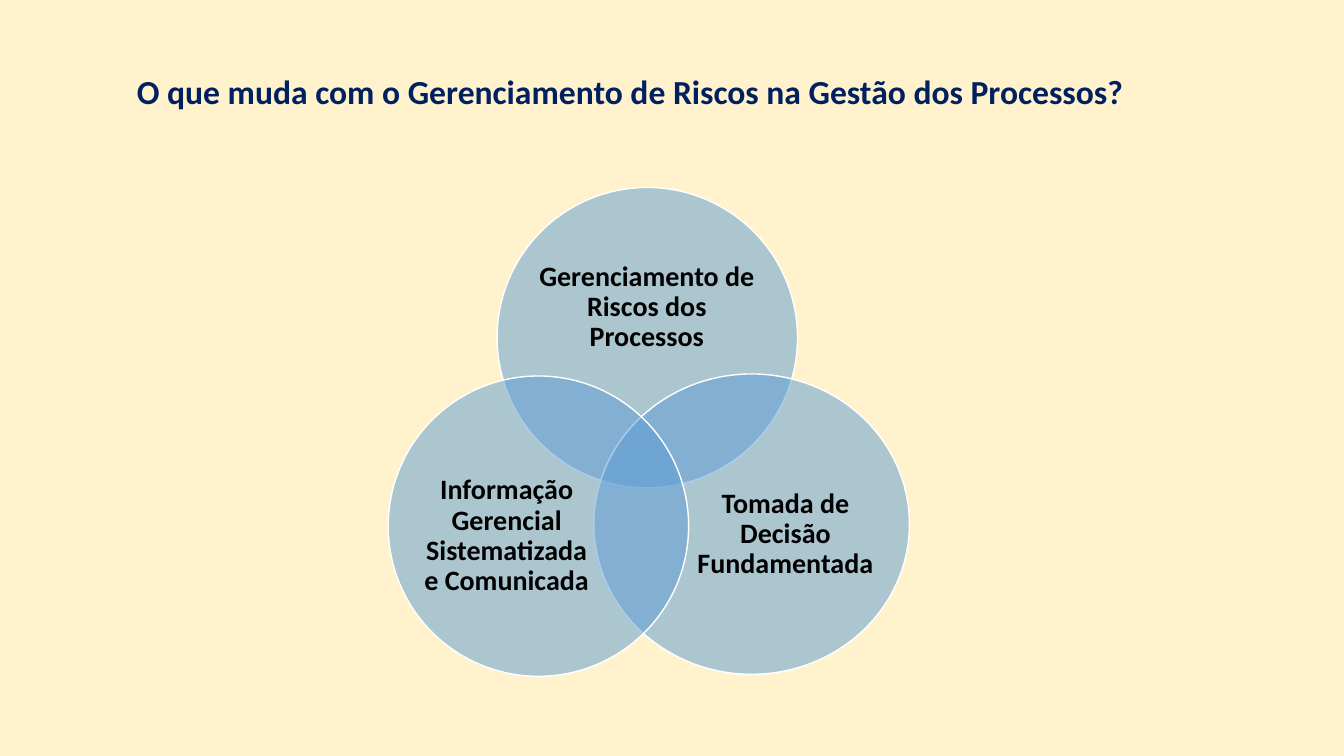
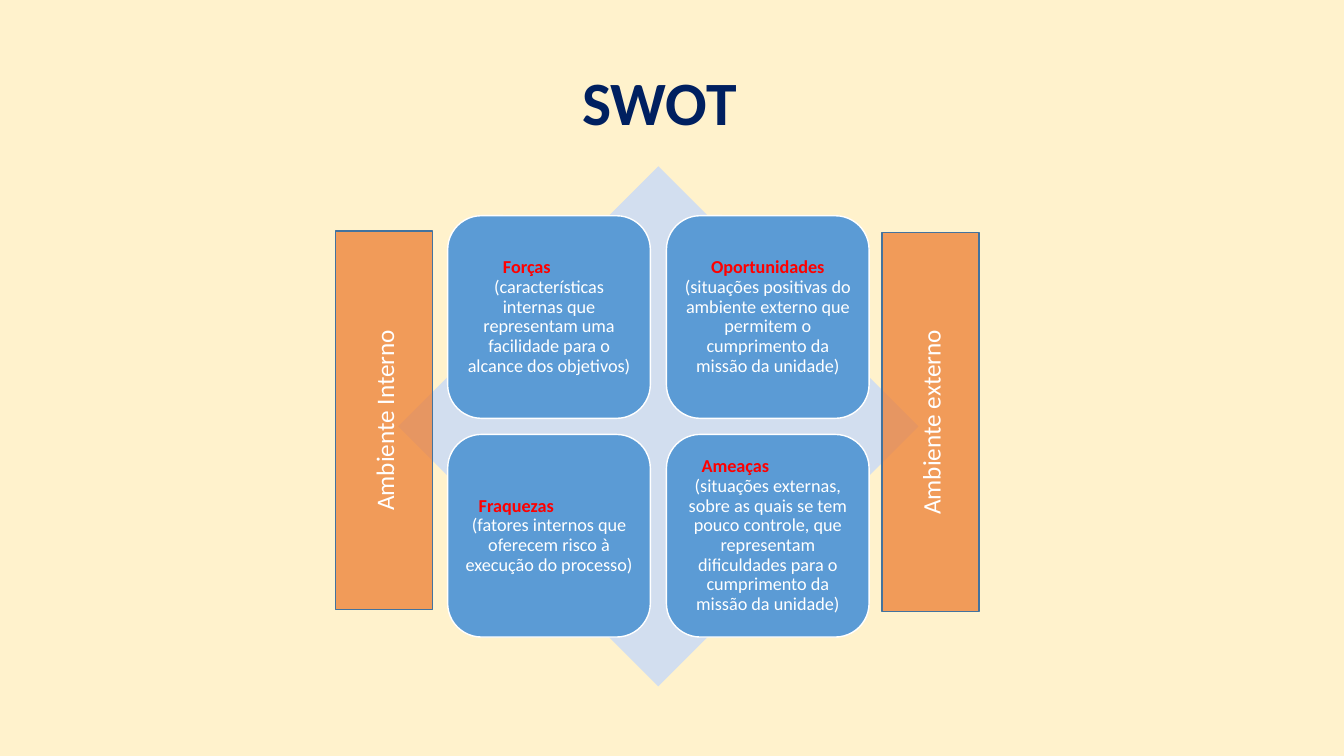
from dataclasses import dataclass

from lxml import etree
from pptx import Presentation
from pptx.dml.color import RGBColor
from pptx.enum.shapes import MSO_SHAPE
from pptx.enum.text import MSO_ANCHOR, PP_ALIGN
from pptx.oxml.ns import qn
from pptx.util import Inches, Pt

OVAL = MSO_SHAPE.OVAL
DIAMOND = MSO_SHAPE.DIAMOND
CARD = MSO_SHAPE.ROUNDED_RECTANGLE
BAR = MSO_SHAPE.RECTANGLE
MIDDLE = MSO_ANCHOR.MIDDLE
CENTER = PP_ALIGN.CENTER
LEFT = PP_ALIGN.LEFT


@dataclass(frozen=True)
class Theme:
    """Colours, font and type sizes of the deck."""
    font: str = "Calibri"
    cream: str = "FFF2CC"
    navy: str = "002060"
    blue: str = "5B9BD5"
    pale: str = "D2DEEF"
    orange: str = "ED7D31"
    edge: str = "43739E"
    red: str = "FF0000"
    white: str = "FFFFFF"
    black: str = "000000"
    question: int = 24
    heading: int = 44
    circle: int = 20
    bar: int = 18
    card: int = 13


@dataclass(frozen=True)
class Box:
    """A rectangle in inches."""
    left: float
    top: float
    width: float
    height: float

    def inner(self, left, top, width, height):
        """Return a box offset from this one's corner."""
        return Box(self.left + left, self.top + top, width, height)

    def emu(self):
        """Return the four lengths as Inches."""
        return [Inches(v) for v in (self.left, self.top, self.width, self.height)]


THEME = Theme()

CIRCLES = [
    ((1.08, 0, 2.98, 2.98), (1.47, 0.52, 2.19, 1.34),
     "Gerenciamento de Riscos dos Processos"),
    ((2.04, 1.85, 3.13, 2.98), (3.0, 2.62, 1.88, 1.64),
     "Tomada de Decisão Fundamentada"),
    ((0, 1.87, 2.98, 2.98), (0.28, 2.64, 1.79, 1.64),
     "Informação Gerencial Sistematizada e Comunicada"),
]

CARDS = [
    ("Forças", 0.4,
     "(características internas que representam uma facilidade para o alcance dos objetivos)"),
    ("Oportunidades", None,
     "(situações positivas do ambiente externo que permitem o cumprimento da missão da unidade)"),
    ("Fraquezas", 0.16,
     "(fatores internos que oferecem risco à execução do processo)"),
    ("Ameaças", 0.2,
     "(situações externas, sobre as quais se tem pouco controle, que representam "
     "dificuldades para o cumprimento da missão da unidade)"),
]

BARS = [
    ((4.8, 0.66, 0.96, 3.76), "Ambiente externo"),
    ((-0.62, 0.64, 0.96, 3.76), "Ambiente Interno"),
]


def add_figure(page, kind, box, fill, line=None, opacity=100):
    """Draw a preset shape with flat fill and optional outline."""
    figure = page.shapes.add_shape(kind, *box.emu())
    figure.shadow.inherit = False
    figure.fill.solid()
    figure.fill.fore_color.rgb = RGBColor.from_string(fill)
    if opacity < 100:
        color = figure._element.spPr.find(qn("a:solidFill"))[0]
        etree.SubElement(color, qn("a:alpha"), val=str(opacity * 1000))
    if line:
        figure.line.color.rgb = RGBColor.from_string(line)
        figure.line.width = Pt(1)
    else:
        figure.line.fill.background()
    return figure


def prepare_frame(shape, inset=None):
    """Wrap and centre a text frame vertically, with an equal inset."""
    frame = shape.text_frame
    frame.word_wrap = True
    frame.vertical_anchor = MIDDLE
    if inset is not None:
        frame.margin_left = frame.margin_right = Inches(inset)
        frame.margin_top = frame.margin_bottom = Inches(inset)
    return frame


def write(para, text, size, color, bold=False, spacing=0.9):
    """Write one centred, styled run into a paragraph."""
    para.alignment = CENTER
    para.line_spacing = spacing
    para.space_before = para.space_after = Pt(0)
    span = para.add_run()
    span.text = text
    span.font.name = THEME.font
    span.font.size = Pt(size)
    span.font.bold = bold
    span.font.color.rgb = RGBColor.from_string(color)


def add_label(page, box, text, size, color, inset=None):
    """Add a bold centred text box."""
    frame = prepare_frame(page.shapes.add_textbox(*box.emu()), inset)
    write(frame.paragraphs[0], text, size, color, bold=True)


def add_page(deck, title, box, size):
    """Add a blank slide with its title."""
    page = deck.slides.add_slide(deck.slide_layouts[6])
    add_label(page, box, title, size, THEME.navy)
    return page


def add_venn(page, box):
    """Draw three overlapping circles with their labels."""
    for circle, label, text in CIRCLES:
        add_figure(page, OVAL, box.inner(*circle), THEME.blue, THEME.white, 50)
        add_label(page, box.inner(*label), text, THEME.circle, THEME.black, 0)


def add_card(page, box, name, indent, detail):
    """Draw one SWOT card with a red name above its explanation."""
    card = add_figure(page, CARD, box, THEME.blue, THEME.white)
    frame = prepare_frame(card, 0.05)
    para = frame.paragraphs[0]
    write(para, name, THEME.card, THEME.red, bold=True)
    if indent is not None:
        para.alignment = LEFT
        para._p.get_or_add_pPr().set("marL", str(Inches(indent)))
    write(frame.add_paragraph(), detail, THEME.card, THEME.white)


def add_bar(page, box, text):
    """Draw a translucent side bar with text reading upwards."""
    bar = add_figure(page, BAR, box, THEME.orange, THEME.edge, 74)
    frame = prepare_frame(bar)
    frame._txBody.bodyPr.set("vert", "vert270")
    write(frame.paragraphs[0], text, THEME.bar, THEME.white, spacing=1.0)


def add_swot(page, box):
    """Draw the diamond, the two by two cards and the side bars."""
    add_figure(page, DIAMOND, box, THEME.pale)
    margin, side, pitch = 0.49, 2.01, 2.17
    for index, content in enumerate(CARDS):
        row, column = divmod(index, 2)
        place = box.inner(margin + column * pitch, margin + row * pitch, side, side)
        add_card(page, place, *content)
    for place, text in BARS:
        add_bar(page, box.inner(*place), text)


def main():
    """Build and save the deck."""
    deck = Presentation()
    deck.slide_width, deck.slide_height = Inches(13.33), Inches(7.5)
    backdrop = deck.slide_master.background.fill
    backdrop.solid()
    backdrop.fore_color.rgb = RGBColor.from_string(THEME.cream)

    page = add_page(deck, "O que muda com o Gerenciamento de Riscos na Gestão dos Processos?",
                    Box(0.82, 0.66, 10.86, 0.54), THEME.question)
    add_venn(page, Box(3.85, 1.86, 5.17, 4.85))

    page = add_page(deck, "SWOT", Box(0.79, 0.62, 11.5, 0.86), THEME.heading)
    add_swot(page, Box(3.95, 1.65, 5.16, 5.16))

    deck.save("out.pptx")


if __name__ == "__main__":
    main()
